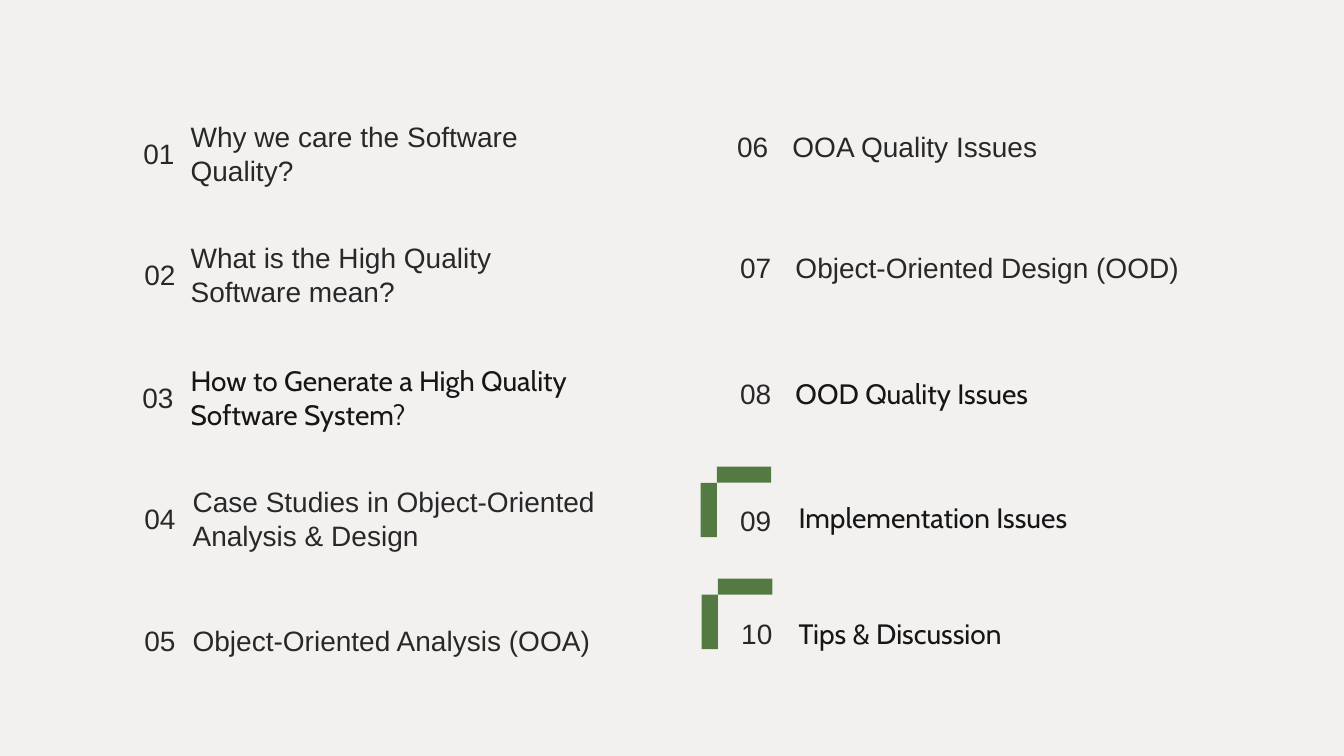
from pptx import Presentation
from pptx.dml.color import RGBColor
from pptx.enum.shapes import MSO_SHAPE
from pptx.enum.text import MSO_ANCHOR, PP_ALIGN
from pptx.util import Inches, Pt

RECTANGLE = MSO_SHAPE.RECTANGLE
MIDDLE = MSO_ANCHOR.MIDDLE
LEFT, RIGHT = PP_ALIGN.LEFT, PP_ALIGN.RIGHT

BACKGROUND, GREEN = "F3F1F0", "527A42"
PLAIN = {"name": "Arial", "color": "282828"}
STRONG = {"name": "Cabin", "color": "161616"}

LINE_HEIGHT = 0.335
NUMBER_WIDTH = 0.39
BAR_LONG, BAR_SHORT = 0.54, 0.16


def rgb(value):
    return RGBColor.from_string(value)


class AgendaSlide:
    """Holds the current slide and the shared text style."""

    def __init__(self, slide, size=20, leading=24):
        self.slide = slide
        self.size = Pt(size)
        self.leading = Pt(leading)
        fill = slide.background.fill
        fill.solid()
        fill.fore_color.rgb = rgb(BACKGROUND)

    def text(self, words, left, middle, width, style, lines=1, align=LEFT):
        height = lines * LINE_HEIGHT
        box = self.slide.shapes.add_textbox(
            Inches(left), Inches(middle - height / 2), Inches(width), Inches(height))
        frame = box.text_frame
        frame_format = {"word_wrap": True, "vertical_anchor": MIDDLE,
                        "margin_left": 0, "margin_right": 0,
                        "margin_top": 0, "margin_bottom": 0}
        for key, value in frame_format.items():
            setattr(frame, key, value)
        paragraph = frame.paragraphs[0]
        paragraph.alignment = align
        paragraph.line_spacing = self.leading
        run = paragraph.add_run()
        run.text = words
        run.font.name = style["name"]
        run.font.size = self.size
        run.font.color.rgb = rgb(style["color"])

    def bar(self, left, top, width, height):
        shape = self.slide.shapes.add_shape(
            RECTANGLE, Inches(left), Inches(top), Inches(width), Inches(height))
        shape.shadow.inherit = False
        shape.fill.solid()
        shape.fill.fore_color.rgb = rgb(GREEN)
        shape.line.fill.background()

    def corner(self, left, top):
        """Two bars that meet at the corner point of a bracket."""
        self.bar(left + BAR_SHORT, top, BAR_LONG, BAR_SHORT)
        self.bar(left, top + BAR_SHORT, BAR_SHORT, BAR_LONG)


# Number left, number middle, topic left, topic middle, topic width, lines, style, topic
TOPICS = [
    (1.34, 1.52, 1.89, 1.52, 4.08, 1, PLAIN, "Why we care the Software Quality?"),
    (1.35, 2.72, 1.89, 2.72, 4.08, 2, PLAIN, "What is the High Quality Software mean?"),
    (1.33, 3.94, 1.89, 3.94, 4.08, 2, STRONG,
     "How to Generate a High Quality Software System?"),
    (1.35, 5.14, 1.91, 5.14, 4.05, 2, PLAIN,
     "Case Studies in Object-Oriented Analysis & Design"),
    (1.35, 6.35, 1.91, 6.35, 4.05, 1, PLAIN, "Object-Oriented Analysis (OOA)"),
    (7.23, 1.45, 7.86, 1.45, 4.27, 1, PLAIN, "OOA Quality Issues"),
    (7.26, 2.65, 7.89, 2.65, 4.24, 1, PLAIN, "Object-Oriented Design (OOD)"),
    (7.26, 3.9, 7.89, 3.9, 4.23, 1, STRONG, "OOD Quality Issues"),
    (7.26, 5.16, 7.92, 5.13, 4.23, 1, STRONG, "Implementation Issues"),
    (7.27, 6.28, 7.92, 6.28, 4.23, 1, STRONG, "Tips & Discussion"),
]
CORNERS = [(6.95, 4.63), (6.96, 5.74)]


def main():
    deck = Presentation()
    deck.slide_width, deck.slide_height = Inches(13.33), Inches(7.5)
    blank = deck.slide_layouts[6]
    agenda = AgendaSlide(deck.slides.add_slide(blank))

    # Numbered topics in two columns
    for number, topic in enumerate(TOPICS, start=1):
        number_left, number_middle, left, middle, width, lines, style, words = topic
        agenda.text(f"{number:02d}", number_left, number_middle, NUMBER_WIDTH,
                    PLAIN, align=RIGHT)
        agenda.text(words, left, middle, width, style, lines)

    # Green corner brackets beside the last two topics
    for left, top in CORNERS:
        agenda.corner(left, top)

    deck.save("out.pptx")


if __name__ == "__main__":
    main()
